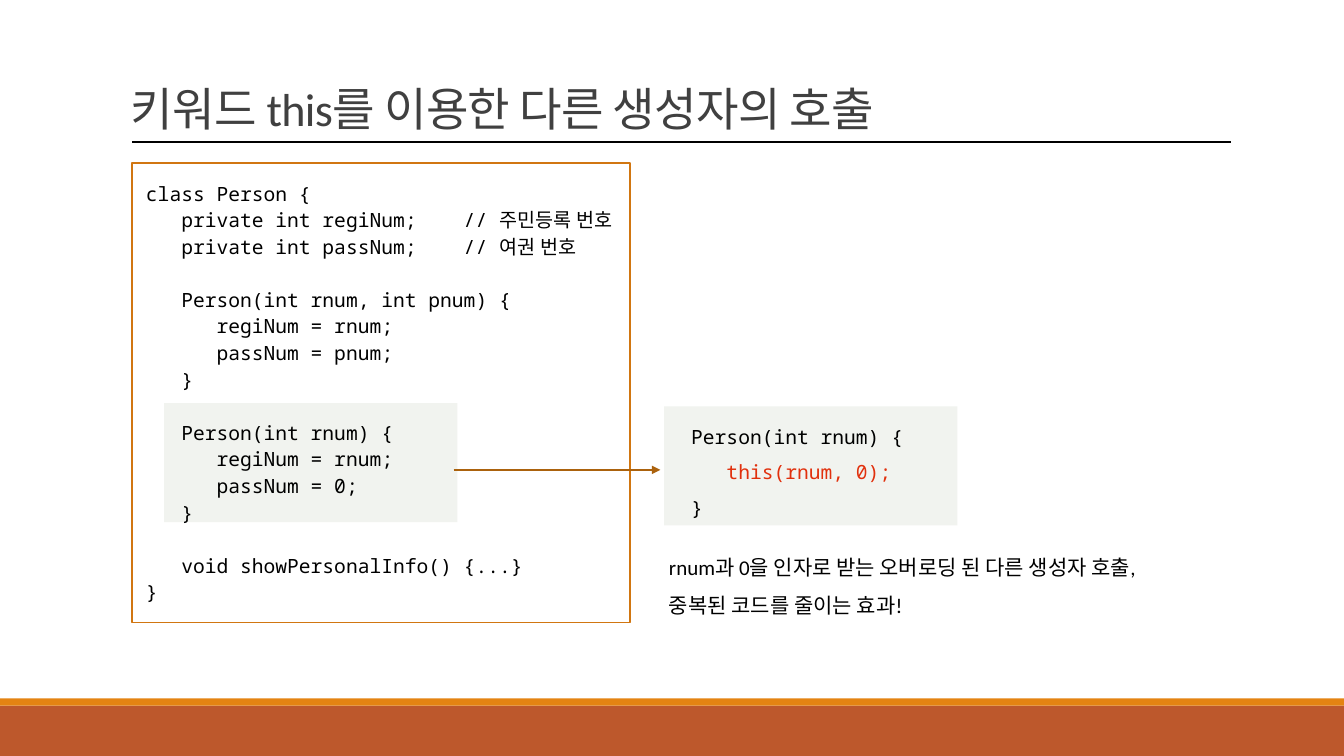
import dataclasses

import pptx
import pptx.dml.color
import pptx.enum.shapes
import pptx.enum.text
import pptx.oxml.ns
import pptx.oxml.xmlchemy
import pptx.util


@dataclasses.dataclass(frozen=True)
class Theme:
    text_font: str = "Calibri"
    code_font: str = "Noto Sans Mono"
    title_size: int = 33
    note_size: int = 15
    code_size: int = 14
    title: str = "404040"
    text: str = "000000"
    accent: str = "E1300D"
    paper: str = "FFFFFF"
    band: str = "BD582C"
    stripe: str = "E48312"
    frame: str = "D17611"
    arrow: str = "AB620D"
    tint: str = "E0E4DB"


CODE = """class Person {
   private int regiNum;    // 주민등록 번호
   private int passNum;    // 여권 번호

   Person(int rnum, int pnum) {
      regiNum = rnum;
      passNum = pnum;
   }

   Person(int rnum) {
      regiNum = rnum;
      passNum = 0;
   }

   void showPersonalInfo() {...}
}"""


def rgb(color):
    return pptx.dml.color.RGBColor.from_string(color)


def lengths(*values):
    return [pptx.util.Cm(value) for value in values]


def add_text(p, text, font, size, color, tracking=0):
    r = p.add_run()
    r.text = text
    r.font.name = font
    r.font.size = pptx.util.Pt(size)
    r.font.color.rgb = rgb(color)
    if tracking:
        r._r.get_or_add_rPr().set("spc", str(int(tracking * 100)))


def add_element(parent, tag, **attributes):
    element = pptx.oxml.xmlchemy.OxmlElement(tag)
    for name, value in attributes.items():
        element.set(name, value)
    parent.append(element)


class SlideBuilder:
    def __init__(self, slide, theme):
        self.s = slide
        self.theme = theme

    def rect(self, x, y, w, h, fill=None, line=None, opacity=None):
        kind = pptx.enum.shapes.MSO_SHAPE.RECTANGLE
        sp = self.s.shapes.add_shape(kind, *lengths(x, y, w, h))
        sp.shadow.inherit = False
        if fill:
            sp.fill.solid()
            sp.fill.fore_color.rgb = rgb(fill)
        else:
            sp.fill.background()
        if line:
            sp.line.color.rgb = rgb(line)
            sp.line.width = pptx.util.Pt(1.25)
        else:
            sp.line.fill.background()
        if opacity:
            color = sp._element.spPr.find(".//" + pptx.oxml.ns.qn("a:srgbClr"))
            add_element(color, "a:alpha", val=str(opacity * 1000))

    def line(self, x1, x2, y, color, width, arrow=False):
        kind = pptx.enum.shapes.MSO_CONNECTOR.STRAIGHT
        sp = self.s.shapes.add_connector(kind, *lengths(x1, y, x2, y))
        sp.line.color.rgb = rgb(color)
        sp.line.width = pptx.util.Pt(width)
        if arrow:
            ln = sp._element.spPr.find(pptx.oxml.ns.qn("a:ln"))
            add_element(ln, "a:tailEnd", type="triangle")
        add_element(sp._element.spPr, "a:effectLst")

    def text(self, x, y, w, h, lines, leading, fill=None, bottom=False, **style):
        sp = self.s.shapes.add_textbox(*lengths(x, y, w, h))
        if fill:
            sp.fill.solid()
            sp.fill.fore_color.rgb = rgb(fill)
        tf = sp.text_frame
        tf.word_wrap = True
        if bottom:
            tf.vertical_anchor = pptx.enum.text.MSO_ANCHOR.BOTTOM
        for i, (text, color) in enumerate(lines):
            p = tf.add_paragraph() if i else tf.paragraphs[0]
            p.line_spacing = leading
            add_text(p, text, color=color, **style)
        return tf

    def code(self, x, y, w, h, source):
        pitch = pptx.util.Pt(19)
        blocks = [block.split("\n") for block in source.split("\n\n")]
        lines = [(text, self.theme.text) for block in blocks for text in block]
        tf = self.text(x, y, w, h, lines, pitch,
                       font=self.theme.code_font, size=self.theme.code_size)
        start = 0
        for block in blocks[:-1]:
            start += len(block)
            tf.paragraphs[start].space_before = pitch


def main():
    prs = pptx.Presentation()
    prs.slide_width, prs.slide_height = lengths(33.87, 19.05)
    t = Theme()
    b = SlideBuilder(prs.slides.add_slide(prs.slide_layouts[6]), t)

    b.rect(0, 17.78, 33.87, 1.27, fill=t.band)
    b.rect(0, 17.6, 33.87, 0.18, fill=t.stripe)
    b.text(3.05, 0.36, 27.94, 3.2,
           [("키워드 this를 이용한 다른 생성자의 호출", t.title)], 0.85,
           bottom=True, font=t.text_font, size=t.title_size, tracking=-0.5)
    b.line(3.33, 31.01, 3.58, t.text, 1)

    b.rect(3.33, 4.11, 12.55, 11.58, line=t.frame)
    for x, y in ((4.14, 10.16), (16.74, 10.24)):
        b.rect(x, y, 7.39, 3, fill=t.tint, opacity=43)
    b.text(17.17, 10.29, 6.55, 2.95,
           [("Person(int rnum) {", t.text),
            ("   this(rnum, 0);", t.accent),
            ("}", t.text)], 1.5, font=t.code_font, size=t.code_size)
    b.code(3.43, 4.37, 12.55, 11.05, CODE)
    b.line(11.43, 16.64, 11.84, t.arrow, 1.75, arrow=True)
    b.text(16.61, 13.54, 15.04, 2.08,
           [("rnum과 0을 인자로 받는 오버로딩 된 다른 생성자 호출,", t.text),
            ("중복된 코드를 줄이는 효과!", t.text)], 1.5,
           fill=t.paper, font=t.text_font, size=t.note_size)
    prs.save("out.pptx")


if __name__ == "__main__":
    main()
